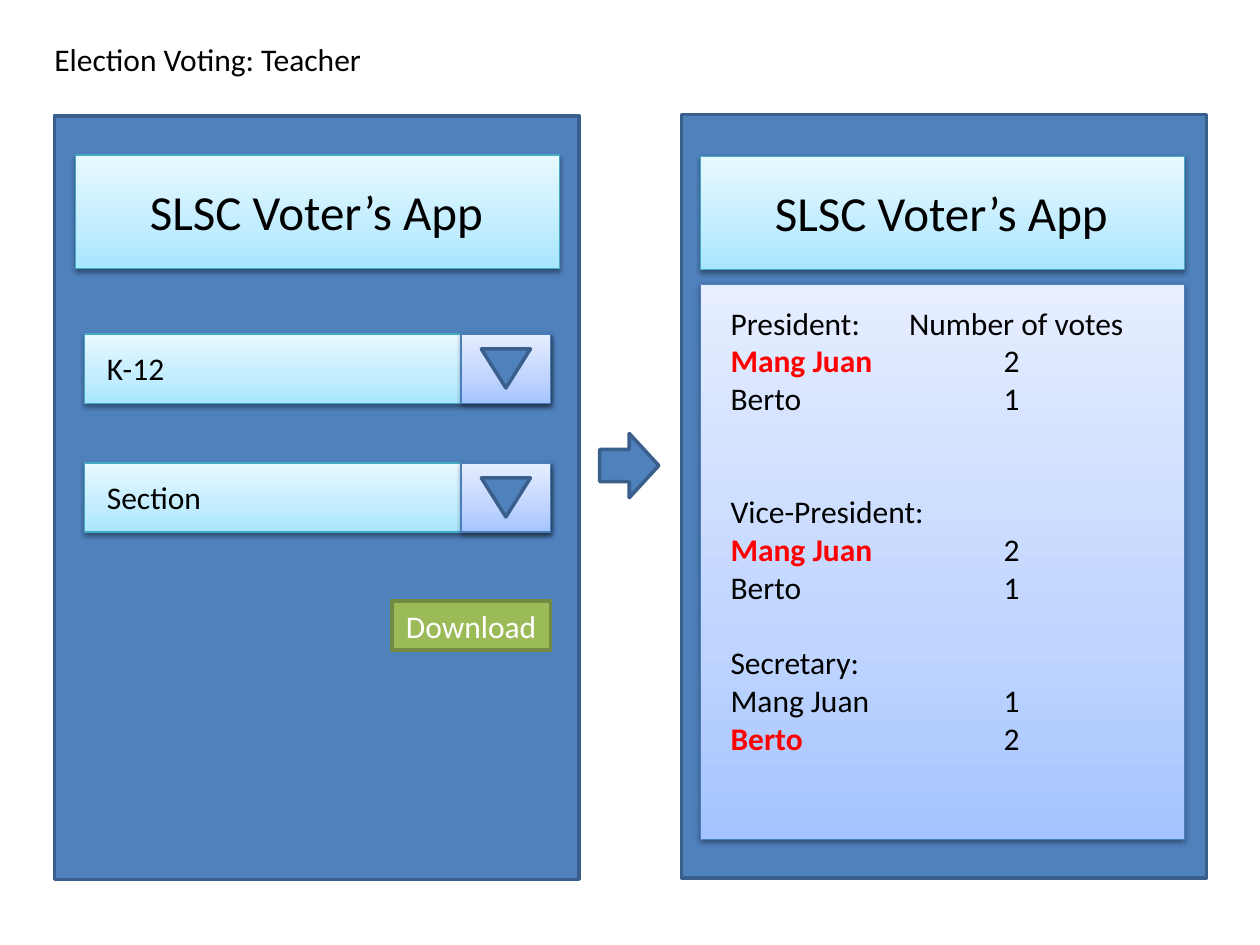
from dataclasses import dataclass
from typing import Optional

import lxml.etree
import pptx
import pptx.dml.color
import pptx.enum.shapes
import pptx.enum.text
import pptx.oxml.ns
import pptx.util

Pt = pptx.util.Pt
RGB = pptx.dml.color.RGBColor
Shape = pptx.enum.shapes.MSO_SHAPE
Align = pptx.enum.text.PP_ALIGN
qn = pptx.oxml.ns.qn


@dataclass(frozen=True)
class Paint:
    """One colour, or gradient stops from bottom to top, with an outline."""
    colors: tuple[str, ...]
    line: str
    line_width: float


@dataclass(frozen=True)
class Theme:
    font: str = "Calibri"
    body: float = 18
    heading: float = 28
    text: str = "000000"
    light_text: str = "FFFFFF"
    winner: str = "FF0000"
    blue: Paint = Paint(("4F81BD",), "3A5F8C", 2)
    green: Paint = Paint(("9BBB59",), "738A42", 2)
    aqua: Paint = Paint(("A7E6FF", "C1EDFF", "E7F8FF"), "46AAC5", 0.75)
    pale: Paint = Paint(("A4C4FF", "BFD4FF", "E6EEFF"), "4B7EBC", 0.75)
    stops: tuple[int, ...] = (0, 35, 100)


@dataclass(frozen=True)
class Box:
    left: float
    top: float
    width: float
    height: float

    def lengths(self) -> tuple:
        return tuple(Pt(v) for v in (self.left, self.top, self.width, self.height))


@dataclass(frozen=True)
class Dropdown:
    label: str
    top: float


@dataclass(frozen=True)
class Candidate:
    name: str
    votes: int
    won: bool = False


@dataclass(frozen=True)
class Race:
    office: str
    candidates: tuple[Candidate, ...]
    gap: float = 0
    heading: str = ""


THEME = Theme()
PHONE_WIDTH, PHONE_HEIGHT = 300, 436.3
BANNER_WIDTH, BANNER_HEIGHT = 276.5, 64.8
VOTES_HEADING_TAB, VOTES_TAB = 102, 156

DROPDOWNS = (Dropdown("K-12", 190.8), Dropdown("Section", 264.5))
RACES = (
    Race("President:", (Candidate("Mang Juan", 2, True), Candidate("Berto", 1)),
         heading="Number of votes"),
    Race("Vice-President:", (Candidate("Mang Juan", 2, True), Candidate("Berto", 1)), gap=43),
    Race("Secretary:", (Candidate("Mang Juan", 1), Candidate("Berto", 2, True)), gap=21.5),
)


def add_stops(shape, colors: tuple[str, ...]) -> None:
    shape.fill.gradient()
    shape.fill.gradient_angle = 90
    stop_list = shape.fill._xPr.find(qn("a:gradFill")).find(qn("a:gsLst"))
    for stop in list(stop_list):
        stop_list.remove(stop)
    for position, color in zip(THEME.stops, colors):
        stop = lxml.etree.SubElement(stop_list, qn("a:gs"), pos=str(position * 1000))
        lxml.etree.SubElement(stop, qn("a:srgbClr"), val=color)


def add_shadow(shape) -> None:
    effects = shape._element.spPr.find(qn("a:effectLst"))
    shadow = lxml.etree.SubElement(
        effects, qn("a:outerShdw"), blurRad=str(Pt(3.1)), dist=str(Pt(1.6)),
        dir="5400000", rotWithShape="0")
    color = lxml.etree.SubElement(shadow, qn("a:srgbClr"), val="000000")
    lxml.etree.SubElement(color, qn("a:alpha"), val="38000")


def add_block(slide, box: Box, paint: Paint, kind=Shape.RECTANGLE):
    block = slide.shapes.add_shape(kind, *box.lengths())
    block.shadow.inherit = False
    if len(paint.colors) > 1:
        add_stops(block, paint.colors)
        add_shadow(block)
    else:
        block.fill.solid()
        block.fill.fore_color.rgb = RGB.from_string(paint.colors[0])
    block.line.color.rgb = RGB.from_string(paint.line)
    block.line.width = Pt(paint.line_width)
    return block


def set_font(font, size: float, color: str, bold: bool = False) -> None:
    font.name, font.size, font.bold = THEME.font, Pt(size), bold
    font.color.rgb = RGB.from_string(color)


def add_text_frame(slide, box: Box):
    frame = slide.shapes.add_textbox(*box.lengths()).text_frame
    frame.word_wrap = True
    return frame


def add_label(slide, box: Box, text: str, size: float = THEME.body,
              align: Align = Align.LEFT) -> None:
    line = add_text_frame(slide, box).paragraphs[0]
    line.text, line.alignment = text, align
    set_font(line.font, size, THEME.text)


def add_phone(slide, left: float, top: float) -> None:
    add_block(slide, Box(left, top, PHONE_WIDTH, PHONE_HEIGHT), THEME.blue)


def add_banner(slide, left: float, top: float) -> None:
    add_block(slide, Box(left, top, BANNER_WIDTH, BANNER_HEIGHT), THEME.aqua)
    add_label(slide, Box(left + 10.1, top + 11.5, 255, 41), "SLSC Voter’s App",
              THEME.heading, Align.CENTER)


def add_dropdown(slide, dropdown: Dropdown) -> None:
    top = dropdown.top
    add_block(slide, Box(48.2, top, 266.4, 39.6), THEME.aqua)
    add_block(slide, Box(263.5, top, 51.1, 39.6), THEME.pale)
    arrow = add_block(slide, Box(275, top + 8.6, 28.1, 22.3), THEME.blue,
                      Shape.ISOSCELES_TRIANGLE)
    arrow.rotation = 180
    add_label(slide, Box(54, top + 5, 193, 28.8), dropdown.label)


def add_row(frame, name: str, value: str = "", tab: float = VOTES_TAB,
            won: bool = False, gap: float = 0) -> None:
    """Add a line of results, with its value at a tab stop."""
    line = frame.paragraphs[0] if not frame.text else frame.add_paragraph()
    line.space_before = Pt(gap)
    set_font(line.add_run().font, THEME.body, THEME.winner if won else THEME.text, won)
    line.runs[0].text = name
    if value:
        set_font(line.add_run().font, THEME.body, THEME.text)
        line.runs[1].text = "\t" + value
        tabs = lxml.etree.SubElement(line._p.get_or_add_pPr(), qn("a:tabLst"))
        lxml.etree.SubElement(tabs, qn("a:tab"), pos=str(Pt(tab)), algn="l")


def add_results(slide) -> None:
    add_block(slide, Box(400.3, 162.4, BANNER_WIDTH, 317.2), THEME.pale)
    frame = add_text_frame(slide, Box(410.4, 170, 255, 291))
    for race in RACES:
        add_row(frame, race.office, race.heading, VOTES_HEADING_TAB, gap=race.gap)
        for candidate in race.candidates:
            add_row(frame, candidate.name, str(candidate.votes), won=candidate.won)


def add_download_button(slide) -> None:
    button = add_block(slide, Box(223.9, 343.4, 90.7, 28.1), THEME.green)
    button.text_frame.vertical_anchor = pptx.enum.text.MSO_ANCHOR.MIDDLE
    caption = button.text_frame.paragraphs[0]
    caption.text, caption.alignment = "Download", Align.CENTER
    set_font(caption.font, THEME.body, THEME.light_text)


def main() -> None:
    deck = pptx.Presentation()
    deck.slide_width, deck.slide_height = Pt(720), Pt(540)
    slide = deck.slides.add_slide(deck.slide_layouts[6])

    add_label(slide, Box(24, 19.6, 665, 28.8), "Election Voting: Teacher")
    add_phone(slide, 31, 66.2)
    add_banner(slide, 43.2, 88.6)
    for dropdown in DROPDOWNS:
        add_dropdown(slide, dropdown)
    add_download_button(slide)

    add_block(slide, Box(342.7, 247.7, 33.8, 36.7), THEME.blue, Shape.RIGHT_ARROW)

    add_phone(slide, 389.5, 65.5)
    add_banner(slide, 400.3, 89.3)
    add_results(slide)
    deck.save("out.pptx")


if __name__ == "__main__":
    main()
